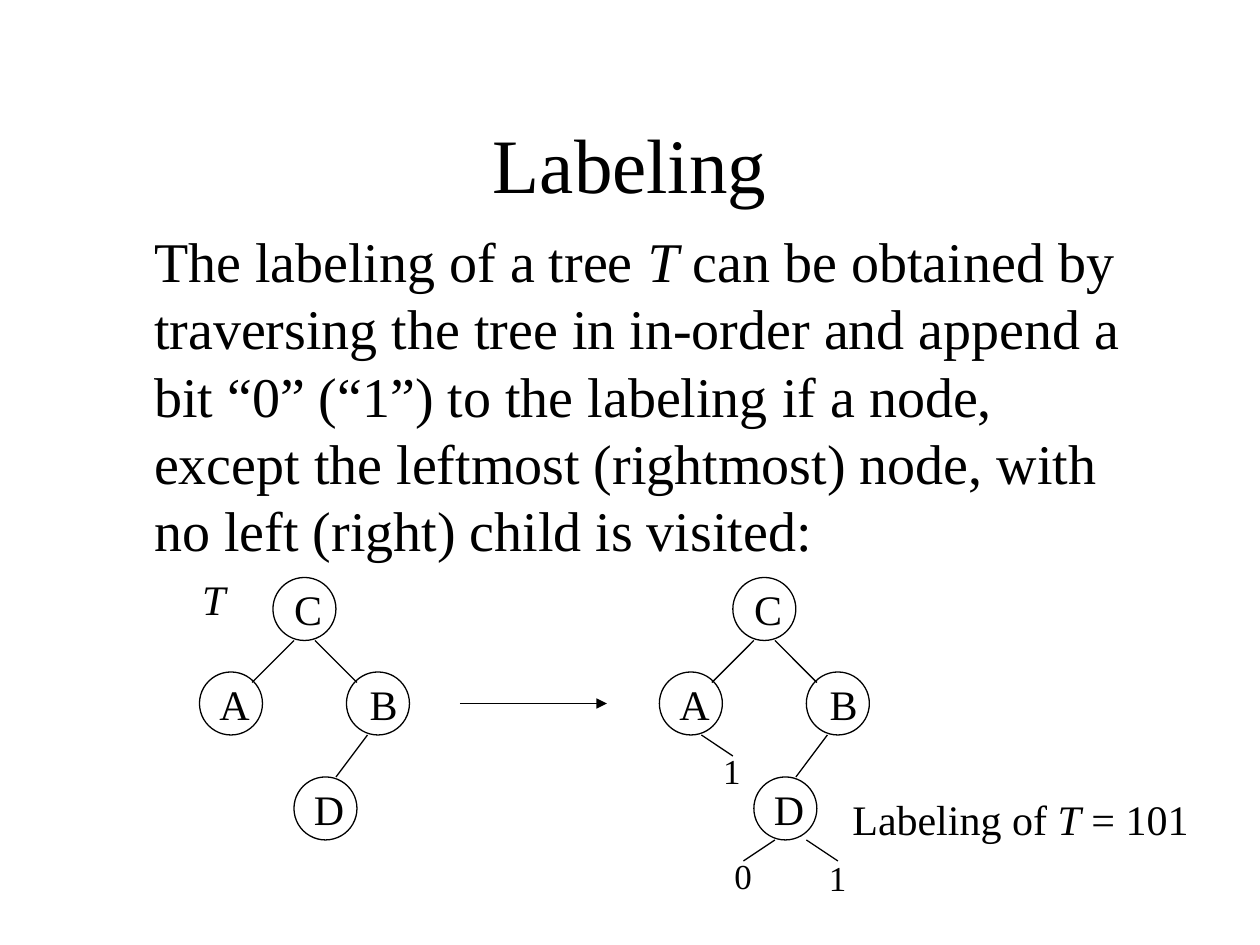
from pptx import Presentation
from pptx.dml.color import RGBColor
from pptx.enum.shapes import MSO_CONNECTOR, MSO_SHAPE
from pptx.enum.text import MSO_ANCHOR, PP_ALIGN
from pptx.oxml.ns import qn
from pptx.util import Pt
from lxml.etree import SubElement

INK = {"text": "000000", "line": "000000"}
FONT = "Times New Roman"
SIDE = 36
TOP = 330

TITLE = "Labeling"
BODY = [
    "The labeling of a tree ",
    ("T",),
    " can be obtained by traversing the tree in in-order and append a bit "
    "“0” (“1”) to the labeling if a node, except the leftmost (rightmost) "
    "node, with no left (right) child is visited:",
]
RESULT = ["Labeling of ", ("T",), " = 101"]

# name, circle x, circle y, label inset, label width
NODES = [
    ("C", 42, 0, 5, 30.5),
    ("A", 0, 54, 4.3, 31.5),
    ("B", 84, 54, 6.2, 30.5),
    ("D", 54, 114, 4.3, 31.5),
]
EDGES = [(54, 36, 30, 60), (66, 36, 90, 60), (96, 90, 78, 114)]
STUBS = [(24, 90, 42, 102), (84, 150, 102, 162), (66, 150, 48, 162)]
BITS = [("1", 29.3, 95), ("1", 89.8, 156), ("0", 35.8, 154.6)]
LEFT, RIGHT = 114, 376.8

deck = Presentation()
deck.slide_width, deck.slide_height = Pt(720), Pt(540)
slide = deck.slides.add_slide(deck.slide_layouts[6])


def write(text, box, size=24, align=PP_ALIGN.LEFT, anchor=MSO_ANCHOR.TOP,
          wrap=False, indent=0):
    frame = slide.shapes.add_textbox(*map(Pt, box)).text_frame
    frame.word_wrap = wrap
    frame.vertical_anchor = anchor
    para = frame.paragraphs[0]
    para.alignment = align
    para.line_spacing = Pt(size * 1.2)
    if indent:
        para._p.get_or_add_pPr().set("marL", str(Pt(indent)))
    for part in [text] if isinstance(text, str) else text:
        run = para.add_run()
        run.text = part if isinstance(part, str) else part[0]
        font = run.font
        font.name, font.size = FONT, Pt(size)
        font.italic = not isinstance(part, str)
        font.color.rgb = RGBColor.from_string(INK["text"])


def stroke(shape):
    shape.line.width = Pt(0.75)
    shape.line.color.rgb = RGBColor.from_string(INK["line"])


def link(x1, y1, x2, y2, arrow=False):
    line = slide.shapes.add_connector(
        MSO_CONNECTOR.STRAIGHT, Pt(x1), Pt(y1), Pt(x2), Pt(y2))
    stroke(line)
    if arrow:
        SubElement(line.line._get_or_add_ln(), qn("a:tailEnd"), type="triangle")
    SubElement(line._element.spPr, qn("a:effectLst"))


def tree(left, edges, bits=()):
    for name, x, y, inset, width in NODES:
        ring = slide.shapes.add_shape(
            MSO_SHAPE.OVAL, Pt(left + x), Pt(TOP + y), Pt(SIDE), Pt(SIDE))
        ring.shadow.inherit = False
        ring.fill.background()
        stroke(ring)
        write(name, (left + x + inset, TOP + y, width, SIDE))
    for x1, y1, x2, y2 in edges:
        link(left + x1, TOP + y1, left + x2, TOP + y2)
    for bit, x, y in bits:
        write(bit, (left + x, TOP + y, 24.4, 31.5), size=20)


write(TITLE, (54, 48, 612, 90), size=44, align=PP_ALIGN.CENTER,
      anchor=MSO_ANCHOR.MIDDLE, wrap=True)
write(BODY, (54, 126, 612, 324), size=32, wrap=True, indent=27)
tree(LEFT, EDGES)
tree(RIGHT, EDGES + STUBS, BITS)
link(262.8, 402, 346.8, 402, arrow=True)
write(RESULT, (480, 450, 206.5, SIDE))
write([("T",)], (108.5, 324, 27.5, SIDE))

deck.save("out.pptx")
